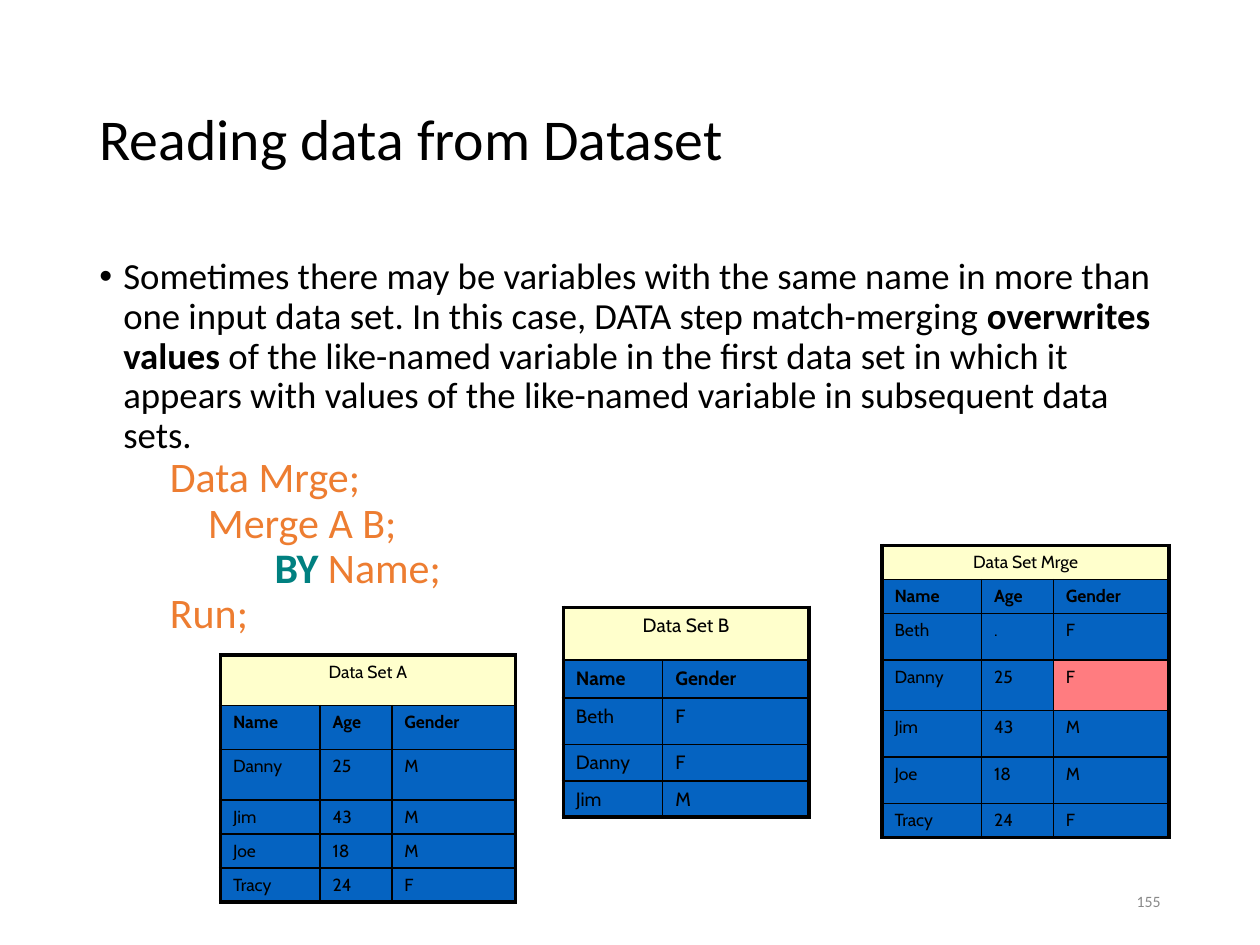
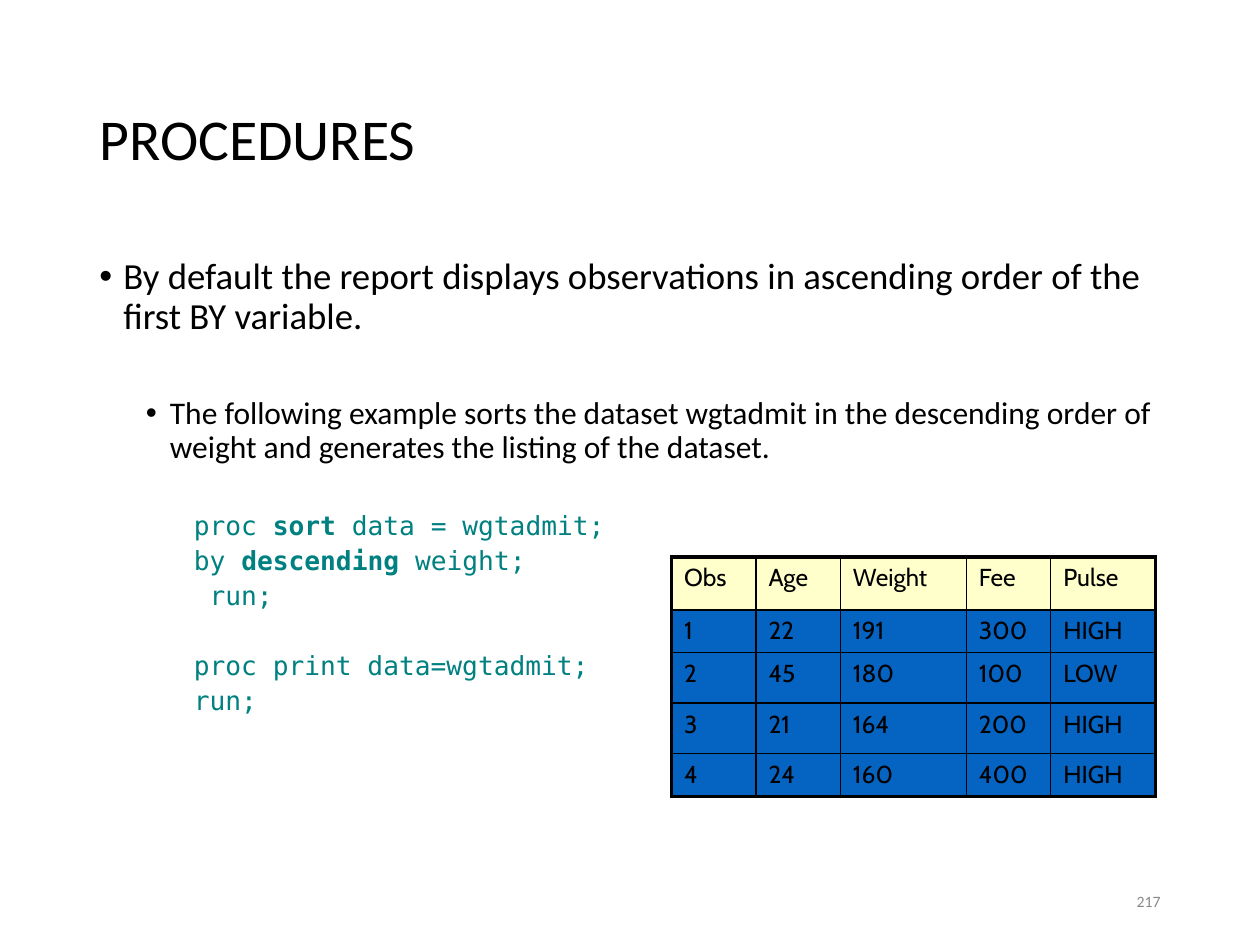
from dataclasses import dataclass

from lxml.etree import SubElement
from pptx import Presentation
from pptx.dml.color import RGBColor
from pptx.enum.text import MSO_ANCHOR as Anchor, PP_ALIGN as Align
from pptx.oxml.ns import qn
from pptx.util import Inches, Pt


@dataclass(frozen=True)
class Theme:
    """Colours, fonts, type sizes and line widths that the slides share."""

    black: str = "000000"
    grey: str = "898989"
    orange: str = "ED7D31"
    teal: str = "008080"
    cream: str = "FFFFCC"
    blue: str = "0563C1"
    pink: str = "FF7C80"
    text_font: str = "Calibri"
    code_font: str = "DejaVu Sans Mono"
    table_font: str = "Cabin"
    title_size: float = 33
    step_size: float = 24
    body_size: float = 21
    sub_size: float = 18
    code_size: float = 15
    number_size: float = 9
    thin: float = 1
    thick: float = 2.25


THEME = Theme()
TITLE_BOX = (0.69, 0.4, 8.62, 1.45)
BODY_BOX = (0.69, 2, 8.62, 4.76)
NUMBER_BOX = (7.06, 6.95, 2.25, 0.4)
HANG = 0.19
SUB_MARGIN = 0.56

DATA_SET_A = [
    ["Data Set A"],
    ["Name", "Age", "Gender"],
    ["Danny", "25", "M"],
    ["Jim", "43", "M"],
    ["Joe", "18", "M"],
    ["Tracy", "24", "F"],
]
DATA_SET_B = [
    ["Data Set B"],
    ["Name", "Gender"],
    ["Beth", "F"],
    ["Danny", "F"],
    ["Jim", "M"],
]
DATA_SET_MRGE = [
    ["Data Set Mrge"],
    ["Name", "Age", "Gender"],
    ["Beth", ".", "F"],
    ["Danny", "25", "F"],
    ["Jim", "43", "M"],
    ["Joe", "18", "M"],
    ["Tracy", "24", "F"],
]
LISTING = [
    ["Obs", "Age", "Weight", "Fee", "Pulse"],
    ["1", "22", "191", "300", "HIGH"],
    ["2", "45", "180", "100", "LOW"],
    ["3", "21", "164", "200", "HIGH"],
    ["4", "24", "160", "400", "HIGH"],
]


def write(frame, *texts, size=THEME.body_size, font=THEME.text_font, color=THEME.black,
          bold=False, align=Align.LEFT, spacing=None, before=0, margin=0, bullet=False):
    """Write one paragraph; a text is a string or a (string, bold, colour) run."""
    paragraph = frame.paragraphs[-1]
    if paragraph.runs:
        paragraph = frame.add_paragraph()
    properties = paragraph._p.get_or_add_pPr()
    properties.set("marL", str(Inches(margin)))
    properties.set("indent", str(-Inches(HANG) if bullet else 0))
    paragraph.alignment = align
    if spacing:
        paragraph.line_spacing = spacing
    if before:
        paragraph.space_before = Pt(before)
    if bullet:
        SubElement(properties, qn("a:buFont"), typeface="Arial")
        SubElement(properties, qn("a:buChar"), char="•")
    else:
        SubElement(properties, qn("a:buNone"))
    for text in texts:
        words, run_bold, run_color = (text, bold, color) if isinstance(text, str) else text
        run = paragraph.add_run()
        run.text = words
        run.font.size = Pt(size)
        run.font.name = font
        run.font.bold = run_bold
        run.font.color.rgb = RGBColor.from_string(run_color)


def add_text_box(slide, box, anchor=Anchor.TOP):
    """Add a wrapping text box and return its text frame."""
    frame = slide.shapes.add_textbox(*map(Inches, box)).text_frame
    frame.word_wrap = True
    frame.vertical_anchor = anchor
    return frame


def add_titled_slide(presentation, title, number):
    """Add a slide with its title and number, and return it."""
    slide = presentation.slides.add_slide(presentation.slide_layouts[5])
    shape = slide.shapes.title
    shape.left, shape.top, shape.width, shape.height = map(Inches, TITLE_BOX)
    shape.text_frame.vertical_anchor = Anchor.MIDDLE
    write(shape.text_frame, title, size=THEME.title_size, spacing=0.9)
    write(add_text_box(slide, NUMBER_BOX, Anchor.MIDDLE), number,
          size=THEME.number_size, color=THEME.grey, align=Align.RIGHT)
    return slide


def set_borders(cell, outer_edges):
    """Draw the four borders of a cell, thick on the outer edges of the table."""
    properties = cell._tc.get_or_add_tcPr()
    for side in "LRTB":
        width = THEME.thick if side in outer_edges else THEME.thin
        line = SubElement(properties, qn(f"a:ln{side}"), w=str(Pt(width)))
        fill = SubElement(line, qn("a:solidFill"))
        SubElement(fill, qn("a:srgbClr"), val=THEME.black)


def add_data_table(slide, left, top, widths, heights, records, size, highlight=None):
    """Add a data table; a first record of one entry becomes a spanning caption."""
    row_count, column_count = len(heights), len(widths)
    table = slide.shapes.add_table(
        row_count, column_count, Inches(left), Inches(top),
        Inches(sum(widths)), Inches(sum(heights))).table
    table.first_row = table.horz_banding = False
    for column, width in zip(table.columns, widths):
        column.width = Inches(width)
    for row, height in zip(table.rows, heights):
        row.height = Inches(height)
    captioned = len(records[0]) == 1
    if captioned:
        table.cell(0, 0).merge(table.cell(0, column_count - 1))
    for r, record in enumerate(records):
        for c, text in enumerate(record):
            cell = table.cell(r, c)
            edges = {"L": c == 0, "R": c == len(record) - 1,
                     "T": r == 0, "B": r == row_count - 1}
            set_borders(cell, [side for side, outer in edges.items() if outer])
            color = THEME.cream if r == 0 else THEME.blue
            cell.fill.solid()
            cell.fill.fore_color.rgb = RGBColor.from_string(
                THEME.pink if (r, c) == highlight else color)
            write(cell.text_frame, text, size=size, font=THEME.table_font,
                  bold=captioned and r == 1,
                  align=Align.CENTER if captioned and r == 0 else Align.LEFT)


def add_merge_text(slide, box):
    """Add the note on like-named variables and the merge step."""
    frame = add_text_box(slide, box)
    write(frame,
          "Sometimes there may be variables with the same name in more than one input "
          "data set. In this case, DATA step match-merging ",
          ("overwrites values", True, THEME.black),
          " of the like-named variable in the first data set in which it appears with "
          "values of the like-named variable in subsequent data sets.",
          spacing=0.9, margin=HANG, bullet=True)
    steps = [
        (SUB_MARGIN, ["Data Mrge;"]),
        (SUB_MARGIN, ["    Merge A B;"]),
        (1.39, [("BY ", True, THEME.teal), "Name;"]),
        (SUB_MARGIN, ["Run;"]),
    ]
    for margin, texts in steps:
        write(frame, *texts, size=THEME.step_size, color=THEME.orange,
              spacing=0.9, margin=margin)


def add_sort_text(slide, box):
    """Add the notes on report order and the sort and print steps."""
    frame = add_text_box(slide, box)
    write(frame,
          "By default the report displays observations in ascending order of the "
          "first BY variable.",
          spacing=0.9, margin=HANG, bullet=True)
    write(frame,
          "The following example sorts the dataset wgtadmit in the descending order of "
          "weight and generates the listing of the dataset.",
          size=THEME.sub_size, spacing=0.9, before=34, margin=SUB_MARGIN, bullet=True)
    code = [
        (27.4, ["proc", (" sort ", True, THEME.teal), "data = wgtadmit;"]),
        (3.8, ["by ", ("descending", True, THEME.teal), " weight;"]),
        (3.8, [" run;"]),
        (23.5, ["proc print data=wgtadmit;"]),
        (3.8, ["run;"]),
    ]
    for before, texts in code:
        write(frame, *texts, size=THEME.code_size, font=THEME.code_font,
              color=THEME.teal, spacing=0.9, before=before, margin=0.75)


def build_merge_slide(presentation):
    """Build the slide on merging two data sets."""
    slide = add_titled_slide(presentation, "Reading data from Dataset", "155")
    add_merge_text(slide, BODY_BOX)
    add_data_table(slide, 1.75, 5.2, [0.79, 0.57, 0.98],
                   [0.4, 0.35, 0.4, 0.27, 0.27, 0.27], DATA_SET_A, 10)
    add_data_table(slide, 4.47, 4.82, [0.79, 1.16],
                   [0.42, 0.3, 0.37, 0.29, 0.28], DATA_SET_B, 11)
    add_data_table(slide, 7, 4.33, [0.79, 0.57, 0.92],
                   [0.27, 0.27, 0.37, 0.4, 0.37, 0.37, 0.27], DATA_SET_MRGE, 10,
                   highlight=(3, 2))


def build_sort_slide(presentation):
    """Build the slide on sorting and printing a data set."""
    slide = add_titled_slide(presentation, "PROCEDURES", "217")
    add_sort_text(slide, BODY_BOX)
    add_data_table(slide, 5.33, 4.42, [0.67, 0.67, 1, 0.67, 0.83],
                   [0.42, 0.34, 0.4, 0.4, 0.34], LISTING, 14)


def main():
    """Build both slides and save the presentation."""
    presentation = Presentation()
    presentation.slide_width, presentation.slide_height = Inches(10), Inches(7.5)
    build_merge_slide(presentation)
    build_sort_slide(presentation)
    presentation.save("out.pptx")


if __name__ == "__main__":
    main()
